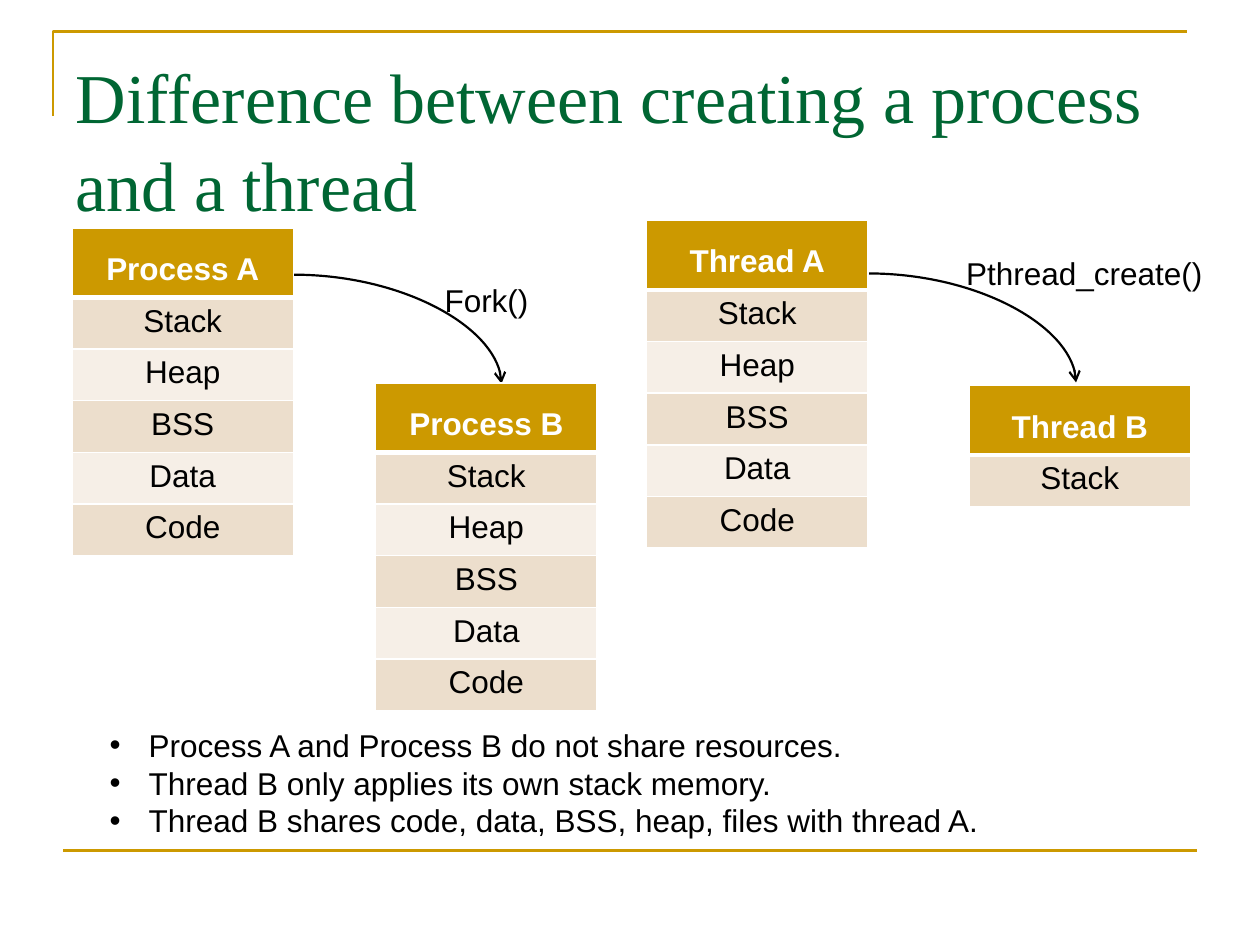
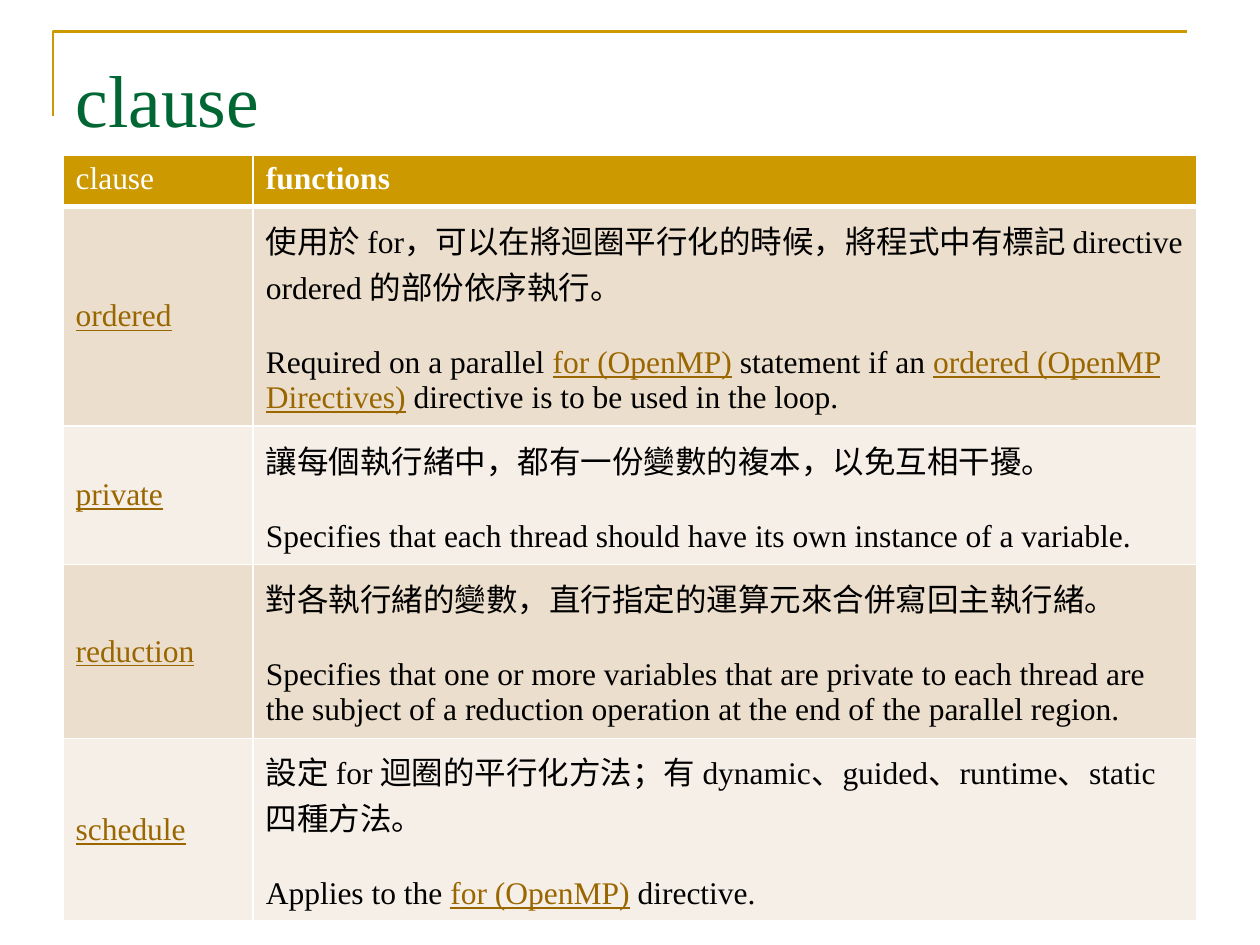
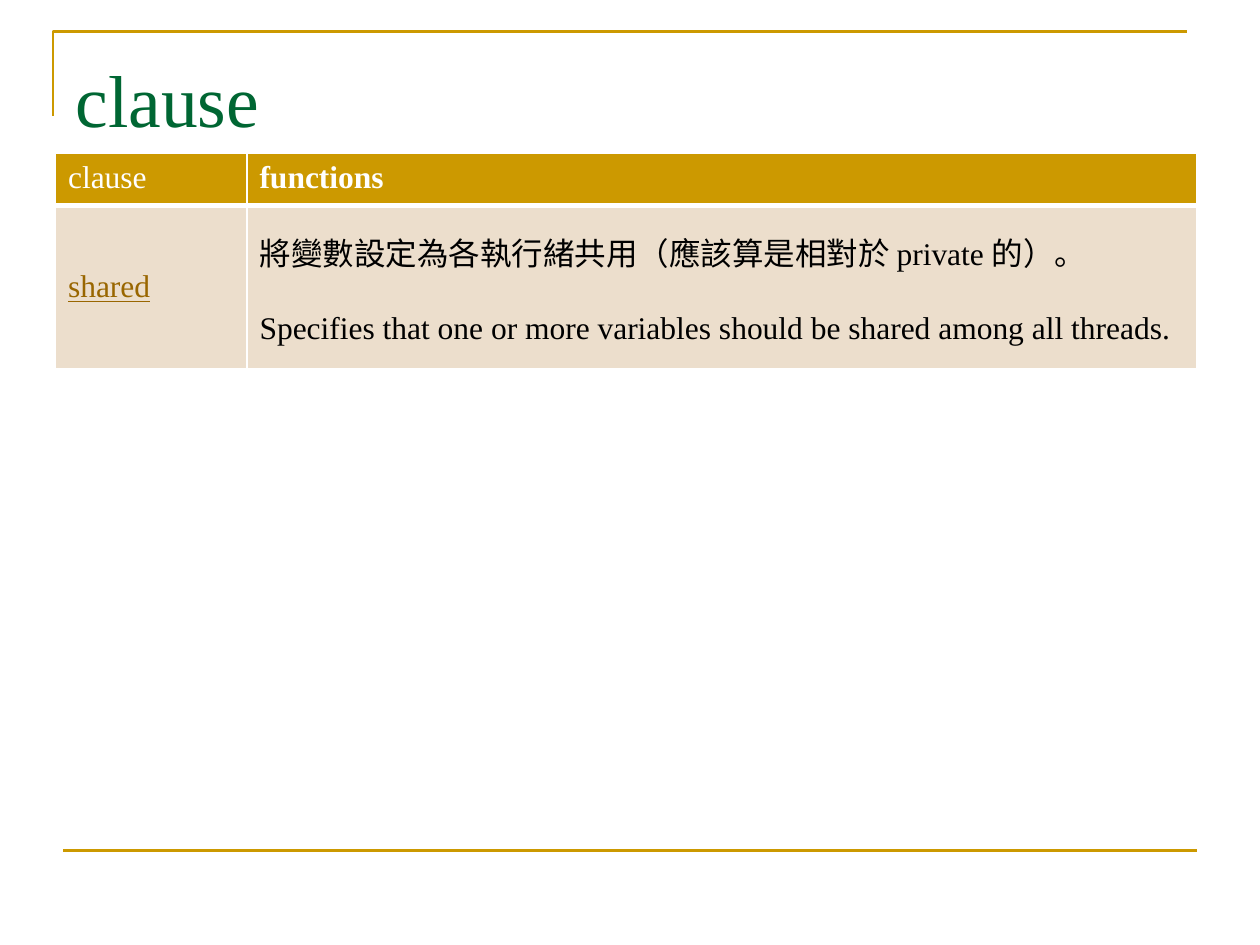
import lxml.etree
import pptx
import pptx.dml.color
import pptx.enum.shapes
import pptx.enum.text
import pptx.oxml
import pptx.oxml.ns
import pptx.util

COLS, ROWS = 100, 75
CELL = pptx.util.Inches(0.1)
GOLD, GREEN, LINK = "CC9900", "006633", "996600"
BLACK, WHITE = "000000", "FFFFFF"
BANDS = ("ECDECC", "F6EFE7")
SANS, SERIF = "Arial", "Times New Roman"
TITLE_LAYOUT, BODY_LAYOUT, ONLY_LAYOUT = 0, 1, 5
ANCHOR = pptx.enum.text.MSO_ANCHOR
ALIGN = pptx.enum.text.PP_ALIGN
CONNECTOR = pptx.enum.shapes.MSO_CONNECTOR

SEGMENTS = ["Stack", "Heap", "BSS", "Data", "Code"]
NOTES = [
    "Process A and Process B do not share resources.",
    "Thread B only applies its own stack memory.",
    "Thread B shares code, data, BSS, heap, files with thread A.",
]
# Text between bars is shown as a link.
CLAUSES = [
    ("ordered", [
        "使用於 for，可以在將迴圈平行化的時候，將程式中有標記 directive ordered 的部份依序執行。",
        "Required on a parallel |for (OpenMP)| statement if an "
        "|ordered (OpenMP Directives)| directive is to be used in the loop."]),
    ("private", [
        "讓每個執行緒中，都有一份變數的複本，以免互相干擾。",
        "Specifies that each thread should have its own instance of a variable."]),
    ("reduction", [
        "對各執行緒的變數，直行指定的運算元來合併寫回主執行緒。",
        "Specifies that one or more variables that are private to each thread are "
        "the subject of a reduction operation at the end of the parallel region."]),
    ("schedule", [
        "設定 for 迴圈的平行化方法；有 dynamic、guided、runtime、static 四種方法。",
        "Applies to the |for (OpenMP)| directive."]),
]
SHARED = [
    ("shared", [
        "將變數設定為各執行緒共用（應該算是相對於 private 的）。",
        "Specifies that one or more variables should be shared among all threads."]),
]


def color(value):
    return pptx.dml.color.RGBColor.from_string(value)


def grid(*cells):
    """Turn grid columns and rows into slide lengths."""
    return [round(c * CELL) for c in cells]


def place(sp, box):
    sp.left, sp.top, sp.width, sp.height = grid(*box)


def add_run(p, text, font, size=18, fill=BLACK, bold=False, underline=False):
    r = p.add_run()
    r.text = text
    r.font.name, r.font.size = font, pptx.util.Pt(size)
    r.font.bold, r.font.underline = bold, underline
    r.font.color.rgb = color(fill)


def next_paragraph(tf, index):
    return tf.add_paragraph() if index else tf.paragraphs[0]


def style_line(sp, fill, width):
    sp.line.color.rgb = color(fill)
    sp.line.width = pptx.util.Pt(width)


def add_line(slide, kind, start, end, fill, width):
    cxn = slide.shapes.add_connector(kind, *grid(*start, *end))
    style_line(cxn, fill, width)
    lxml.etree.SubElement(cxn.element.spPr, pptx.oxml.ns.qn("a:effectLst"))
    return cxn


def add_curved_arrow(slide, start, end):
    cxn = add_line(slide, CONNECTOR.CURVE, start, end, BLACK, 1.25)
    geometry = cxn.element.spPr.find(pptx.oxml.ns.qn("a:prstGeom"))
    geometry.set("prst", "curvedConnector2")
    line = cxn.element.spPr.find(pptx.oxml.ns.qn("a:ln"))
    lxml.etree.SubElement(line, pptx.oxml.ns.qn("a:tailEnd"), type="arrow")


def add_frame(prs):
    """Draw the corner rule and the bottom rule, then move them to the master."""
    slide = prs.slides[0]
    left, top, right, low = grid(4.2, 2.5, 94.2, 9.2)
    builder = slide.shapes.build_freeform(left, low)
    builder.add_line_segments([(left, top), (right, top)], close=False)
    corner = builder.convert_to_shape()
    corner.fill.background()
    corner.shadow.inherit = False
    style_line(corner, GOLD, 1.5)
    rule = add_line(slide, CONNECTOR.STRAIGHT, (5, 67.5), (95, 67.5), GOLD, 1.5)
    for sp in (corner, rule):
        prs.slide_master.shapes.element.append(sp.element)


def add_titled_slide(prs, layout, title, size):
    slide = prs.slides.add_slide(prs.slide_layouts[layout])
    sp = slide.shapes.title
    place(sp, (5, 3, 90, 12.5))
    tf = sp.text_frame
    tf.auto_size = pptx.enum.text.MSO_AUTO_SIZE.NONE
    tf.vertical_anchor = ANCHOR.TOP
    tf.margin_top = pptx.util.Inches(0.1)
    p = tf.paragraphs[0]
    p.alignment = ALIGN.LEFT
    p.line_spacing = 1.04
    add_run(p, title, SERIF, size, GREEN)
    return slide


def add_border(cell, bottom):
    tc_pr = cell._tc.get_or_add_tcPr()
    for i, (side, width) in enumerate(zip("LRTB", (1, 1, 1, bottom))):
        tc_pr.insert(i, pptx.oxml.parse_xml(
            f'<a:ln{side} {pptx.oxml.ns.nsdecls("a")} w="{pptx.util.Pt(width)}">'
            f'<a:solidFill><a:srgbClr val="{WHITE}"/></a:solidFill></a:ln{side}>'))


def add_banded_table(slide, left, top, widths, heights):
    frame = slide.shapes.add_table(
        len(heights), len(widths), *grid(left, top, sum(widths), sum(heights)))
    table = frame.table
    for column, width in zip(table.columns, widths):
        column.width = grid(width)[0]
    for i, (row, height) in enumerate(zip(table.rows, heights)):
        row.height = grid(height)[0]
        for cell in row.cells:
            cell.fill.solid()
            cell.fill.fore_color.rgb = color(BANDS[(i - 1) % 2] if i else GOLD)
            add_border(cell, 1 if i else 3)
    return table


def add_memory_table(slide, left, top, name, segments):
    heights = [5.5] + [4.1] * len(segments)
    table = add_banded_table(slide, left, top, [17.6], heights)
    for i, text in enumerate([name, *segments]):
        p = table.cell(i, 0).text_frame.paragraphs[0]
        p.alignment = ALIGN.CENTER
        if i == 0:
            p.line_spacing = 1.5
        add_run(p, text, SANS, fill=BLACK if i else WHITE, bold=i == 0)


def add_label(slide, box, text):
    tf = slide.shapes.add_textbox(*grid(*box)).text_frame
    tf.word_wrap = False
    add_run(tf.paragraphs[0], text, SANS)


def add_creation(slide, box, kind, segments, drop, call, call_box):
    """Parent at the box's top left, child at its bottom right, arrow between.

    drop is the arrow's start below the top; call_box is relative to the box.
    """
    left, top, across, down = box
    x, y = left + 17.6, top + drop
    add_curved_arrow(slide, (x, y), (x + 16.5, y + 8.65))
    dx, dy, width, height = call_box
    add_label(slide, (left + dx, top + dy, width, height), call)
    add_memory_table(slide, left, top, f"{kind} A", SEGMENTS)
    add_memory_table(slide, left + across, top + down, f"{kind} B", segments)


def fill_notes(sp, box, notes):
    place(sp, box)
    tf = sp.text_frame
    tf.auto_size = pptx.enum.text.MSO_AUTO_SIZE.NONE
    indent = pptx.util.Inches(0.31)
    for i, text in enumerate(notes):
        p = next_paragraph(tf, i)
        p.space_before = pptx.util.Pt(0)
        p_pr = p._p.get_or_add_pPr()
        p_pr.set("marL", str(indent))
        p_pr.set("indent", str(-indent))
        bullet_font = lxml.etree.SubElement(p_pr, pptx.oxml.ns.qn("a:buFont"))
        bullet_font.set("typeface", SANS)
        bullet = lxml.etree.SubElement(p_pr, pptx.oxml.ns.qn("a:buChar"))
        bullet.set("char", "•")
        add_run(p, text, SANS)


def fill_clause_cell(cell, paragraphs):
    cell.vertical_anchor = ANCHOR.MIDDLE
    for i, text in enumerate(paragraphs):
        p = next_paragraph(cell.text_frame, i)
        if i:
            p.space_before = pptx.util.Pt(21)
        for j, part in enumerate(text.split("|")):
            link = j % 2 == 1
            if part:
                add_run(p, part, SERIF, fill=LINK if link else BLACK, underline=link)


def add_clause_slide(prs, corner, widths, heights, clauses):
    slide = add_titled_slide(prs, ONLY_LAYOUT, "clause", 42)
    table = add_banded_table(slide, *corner, widths, heights)
    for i, heading in enumerate(["clause", "functions"]):
        p = table.cell(0, i).text_frame.paragraphs[0]
        add_run(p, heading, SERIF, fill=WHITE, bold=i == 1)
    for i, (name, paragraphs) in enumerate(clauses, 1):
        fill_clause_cell(table.cell(i, 0), [f"|{name}|"])
        fill_clause_cell(table.cell(i, 1), paragraphs)


def add_creation_slide(prs):
    slide = add_titled_slide(
        prs, BODY_LAYOUT, "Difference between creating a process and a thread", 40)
    add_creation(slide, (5.7, 18.1, 24.1, 12.3), "Process", SEGMENTS,
                 3.7, "Fork()", (28.6, 3.7, 8.8, 4))
    add_creation(slide, (51.3, 17.5, 25.6, 13.1), "Thread", SEGMENTS[:1],
                 4.2, "Pthread_create()", (24.4, 2.2, 21, 4))
    fill_notes(slide.placeholders[1], (7.7, 57.1, 71.6, 10.1), NOTES)


def main():
    prs = pptx.Presentation()
    prs.slide_width, prs.slide_height = grid(COLS, ROWS)
    add_creation_slide(prs)
    add_frame(prs)
    add_clause_slide(prs, (5, 12.3), (15.1, 74.9), (4.1, 17.4, 11, 13.8, 14.5), CLAUSES)
    add_clause_slide(prs, (4.4, 12.2), (15.2, 75.4), (4.1, 13), SHARED)
    prs.save("out.pptx")


if __name__ == "__main__":
    main()
